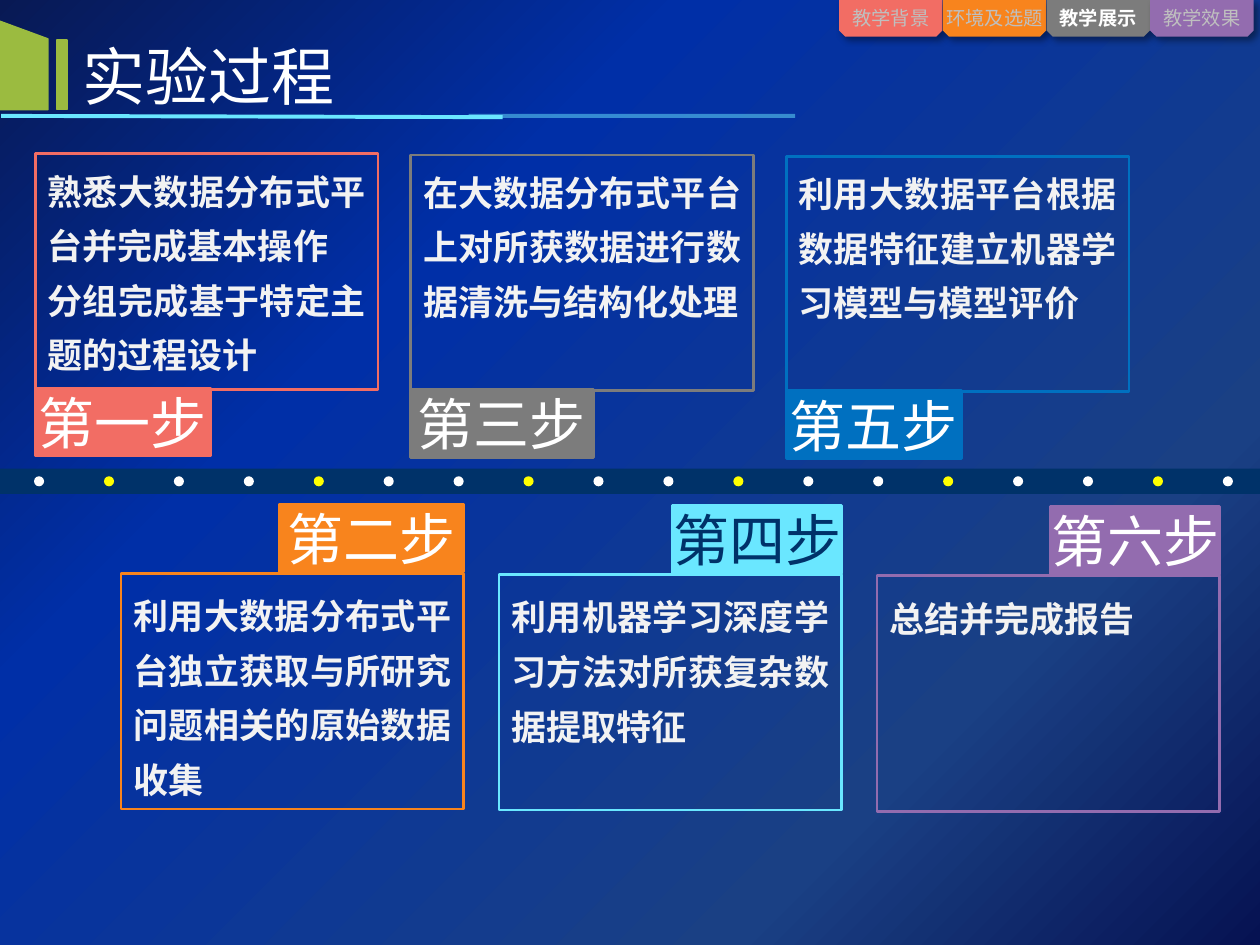
from lxml.etree import SubElement
from pptx import Presentation
from pptx.dml.color import RGBColor
from pptx.enum.shapes import MSO_CONNECTOR, MSO_SHAPE as Shape
from pptx.enum.text import MSO_ANCHOR as Anchor, PP_ALIGN as Align
from pptx.oxml import parse_xml
from pptx.oxml.ns import nsdecls, qn
from pptx.util import Inches, Pt

WHITE = RGBColor(0xFF, 0xFF, 0xFF)
OFF_WHITE = RGBColor(0xF2, 0xF2, 0xF2)
SILVER = RGBColor(0xBF, 0xBF, 0xBF)
CORAL = RGBColor(0xF2, 0x6D, 0x64)
ORANGE = RGBColor(0xF8, 0x84, 0x1D)
GRAY = RGBColor(0x7C, 0x7C, 0x7C)
PURPLE = RGBColor(0x93, 0x6C, 0xAF)
CYAN = RGBColor(0x6A, 0xE7, 0xFF)
BLUE = RGBColor(0x00, 0x70, 0xC0)
GREEN = RGBColor(0x9B, 0xBB, 0x40)
YELLOW = RGBColor(0xFF, 0xFF, 0x00)
NAVY = RGBColor(0x00, 0x32, 0x69)
BACKDROP = [(0, RGBColor(0x08, 0x19, 0x54)), (31, RGBColor(0x00, 0x2F, 0xA7)),
            (76, RGBColor(0x1A, 0x40, 0x84)), (100, RGBColor(0x06, 0x12, 0x52))]

COLS, ROWS = 100, 75
SANS, LABEL_FONT = "Noto Sans CJK SC", "Noto Sans CJK JP"
TABS = [("教学背景", CORAL), ("环境及选题", ORANGE), ("教学展示", GRAY), ("教学效果", PURPLE)]
CURRENT_TAB = "教学展示"
UPPER_STEPS = [
    ("第一步", 13.9, CORAL, WHITE, ["熟悉大数据分布式平台并完成基本操作", "分组完成基于特定主题的过程设计"]),
    ("第三步", 14.5, GRAY, WHITE, ["在大数据分布式平台上对所获数据进行数据清洗与结构化处理"]),
    ("第五步", 13.9, BLUE, WHITE, ["利用大数据平台根据数据特征建立机器学习模型与模型评价"]),
]
LOWER_STEPS = [
    ("第二步", 14.6, ORANGE, WHITE, ["利用大数据分布式平台独立获取与所研究问题相关的原始数据收集"]),
    ("第四步", 13.4, CYAN, NAVY, ["利用机器学习深度学习方法对所获复杂数据提取特征"]),
    ("第六步", 13.4, PURPLE, WHITE, ["总结并完成报告"]),
]
CARD_W, CARD_H, LABEL_H, BODY_H = 27.2, 18.7, 5.4, 17.5


def write(holder, paragraphs, size=20, color=WHITE, font=SANS, bold=False, align=Align.LEFT,
          spacing=None, anchor=Anchor.MIDDLE, wrap=True, inset=None):
    frame = holder.text_frame
    frame.word_wrap = wrap
    frame.vertical_anchor = anchor
    if inset is not None:
        frame.margin_left = frame.margin_right = frame.margin_top = frame.margin_bottom = inset
    for index, words in enumerate(paragraphs):
        paragraph = frame.add_paragraph() if index else frame.paragraphs[0]
        paragraph.alignment = align
        paragraph.line_spacing = spacing
        run = paragraph.add_run()
        run.text = words
        run.font.size, run.font.bold, run.font.name = Pt(size), bold, font
        run.font.color.rgb = color
        SubElement(run.font._element, qn("a:ea")).set("typeface", font)


class Deck:
    def __init__(self):
        self.show = Presentation()
        self.show.slide_width, self.show.slide_height = Inches(10), Inches(7.5)
        self.slide = self.show.slides.add_slide(self.show.slide_layouts[6])
        self.shapes = self.slide.shapes

    def place(self, col, row, cols, rows):
        across, down = self.show.slide_width / COLS, self.show.slide_height / ROWS
        return [round(n) for n in (col * across, row * down, cols * across, rows * down)]

    def backdrop(self, stops):
        fill = self.slide.background.fill
        fill.gradient()
        fill.gradient_angle = 315
        stop_list = self.slide.background._cSld.find(".//" + qn("a:gsLst"))
        stop_list.clear()
        for position, color in stops:
            stop = SubElement(stop_list, qn("a:gs"), pos=str(position * 1000))
            SubElement(stop, qn("a:srgbClr"), val=str(color))

    def shape(self, kind, area, fill=None, line=None, width=1.5, flip=False):
        shape = self.shapes.add_shape(kind, *self.place(*area))
        shape.shadow.inherit = False
        if fill is None:
            shape.fill.background()
        else:
            shape.fill.solid()
            shape.fill.fore_color.rgb = fill
        if line is None:
            shape.line.fill.background()
        else:
            shape.line.color.rgb = line
            shape.line.width = Pt(width)
        if flip:
            shape._element.spPr.find(qn("a:xfrm")).set("flipH", "1")
        return shape

    def text(self, area, paragraphs, **style):
        write(self.shapes.add_textbox(*self.place(*area)), paragraphs, **style)

    def line(self, start, end, color, opacity=100):
        ends = self.place(*start, *end)
        line = self.shapes.add_connector(MSO_CONNECTOR.STRAIGHT, *ends)
        line.line.color.rgb = color
        line.line.width = Pt(2.25)
        properties = line._element.spPr
        tint = properties.find(".//" + qn("a:srgbClr"))
        SubElement(tint, qn("a:alpha"), val=str(opacity * 1000))
        SubElement(properties, qn("a:effectLst"))

    def tab(self, area, label, color):
        tab = self.shape(Shape.SNIP_2_SAME_RECTANGLE, area, color)
        tab.rotation = 180
        properties = tab._element.spPr
        properties.remove(properties.find(qn("a:effectLst")))
        properties.append(parse_xml(
            f'<a:effectLst {nsdecls("a")}><a:outerShdw blurRad="{Pt(4)}" dist="{Pt(3)}" '
            'dir="2700000" rotWithShape="0"><a:srgbClr val="000000"><a:alpha val="40000"/>'
            '</a:srgbClr></a:outerShdw></a:effectLst>'))
        current = label == CURRENT_TAB
        col, row, cols, rows = area
        label_w = 2 + 1.55 * len(label)
        self.text((col + (cols - label_w) / 2, row, label_w, rows), [label], size=11,
                  color=WHITE if current else SILVER, bold=current, align=Align.CENTER,
                  wrap=False, inset=0)

    def step(self, col, row, step, upper):
        title, width, color, ink, body = step
        label_col = col if upper else col + CARD_W - width
        label_row = row + CARD_H - 0.1 if upper else row - LABEL_H - 0.1
        label = self.shape(Shape.RECTANGLE, (label_col, label_row, width, LABEL_H), color, color)
        write(label, [title], size=32, color=ink, font=LABEL_FONT, align=Align.CENTER, inset=0)
        self.shape(Shape.RECTANGLE, (col, row, CARD_W, CARD_H), line=color)
        body_row = row - 0.2 if upper else row + 0.2
        self.text((col, body_row, CARD_W, BODY_H), body, color=OFF_WHITE, bold=True,
                  align=Align.JUSTIFY, spacing=1.3, anchor=Anchor.TOP)


def main():
    deck = Deck()
    deck.backdrop(BACKDROP)
    for index, (label, color) in enumerate(TABS):
        deck.tab((66.6 + 8.23 * index, 0, 8.2, 2.9), label, color)

    deck.line((0.1, 9.2), (39.9, 9.3), CYAN)
    deck.line((37.2, 9.2), (63.1, 9.2), CYAN, opacity=50)
    deck.shape(Shape.FLOWCHART_MANUAL_INPUT, (0, 1.7, 3.8, 7), GREEN, GREEN, 1, flip=True)
    deck.shape(Shape.RECTANGLE, (4.5, 3.2, 0.8, 5.5), GREEN, GREEN, 1)
    deck.text((5.6, 2.4, 57.2, 7.1), ["实验过程"], size=36)

    deck.shape(Shape.RECTANGLE, (0, 37.2, COLS, 2), NAVY)
    for index in range(18):
        color = YELLOW if index % 3 == 1 else WHITE
        deck.shape(Shape.OVAL, (2.7 + 5.55 * index, 37.8, 0.8, 0.8), color)

    for index, (above, below) in enumerate(zip(UPPER_STEPS, LOWER_STEPS)):
        deck.step(2.8 + 29.8 * index, 12.2 + 0.1 * index, above, upper=True)
        deck.step(9.6 + 30 * index, 45.5 + 0.1 * index, below, upper=False)
    deck.show.save("out.pptx")


if __name__ == "__main__":
    main()
